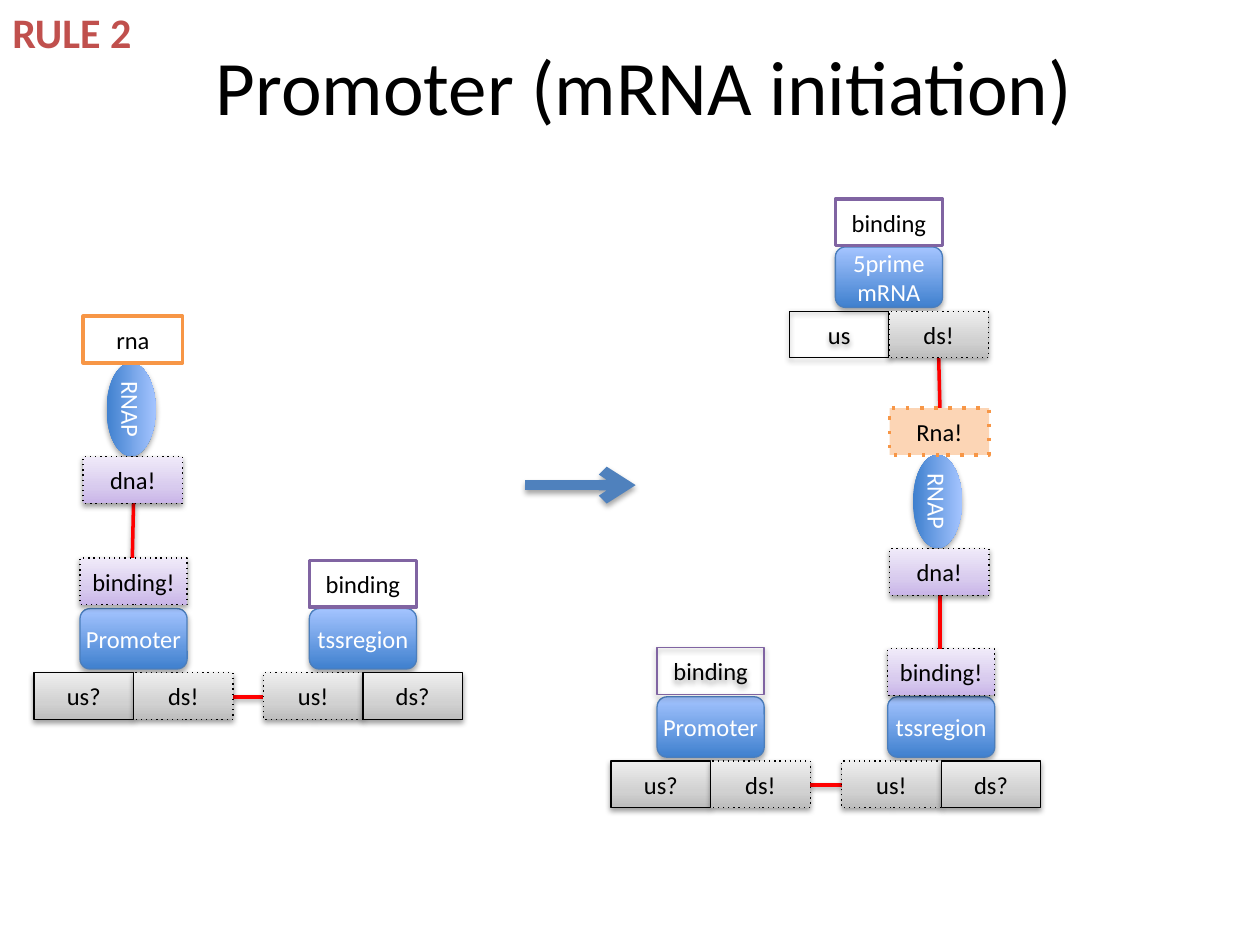
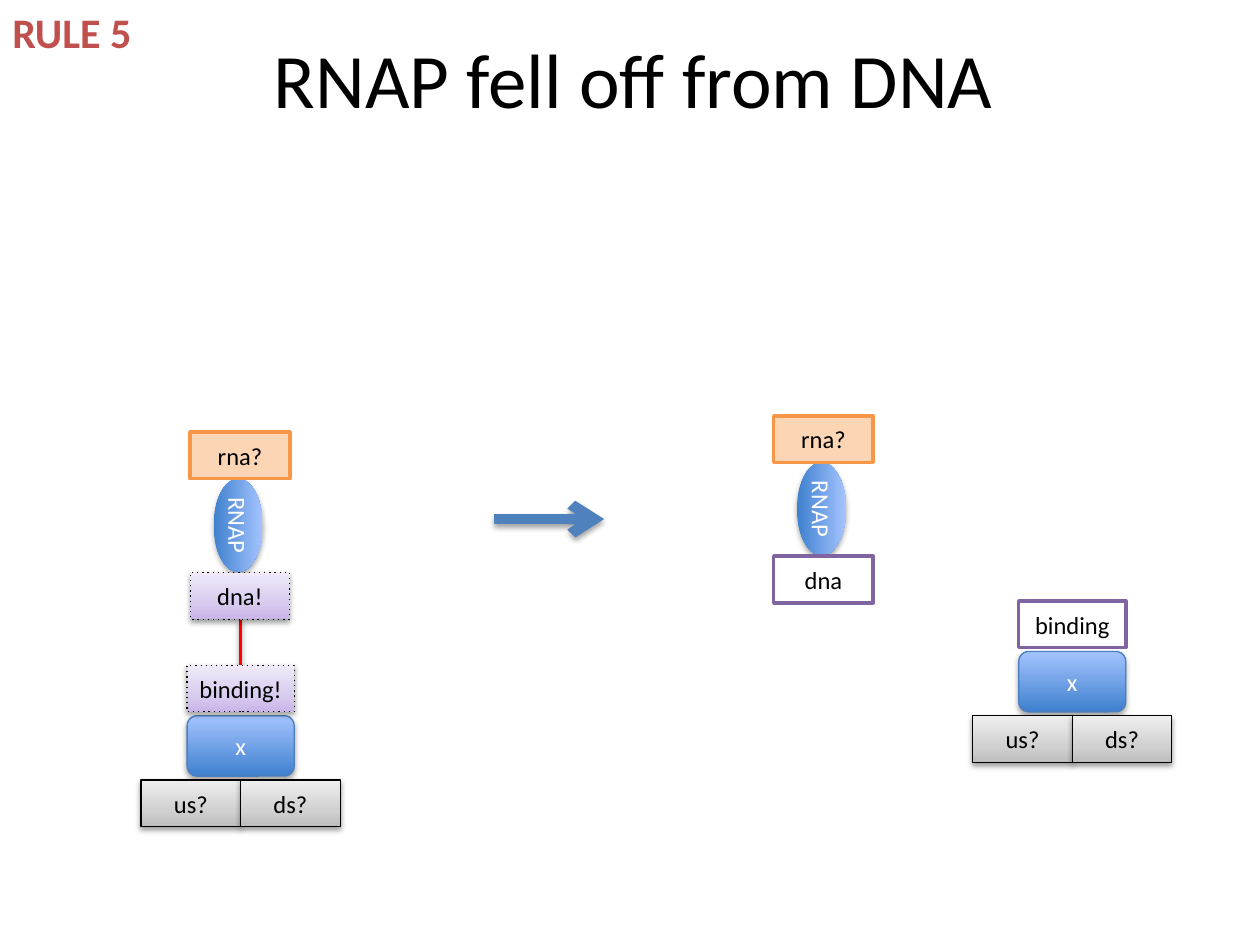
"""Build two slides of gene-rule diagrams: promoter initiation and polymerase fall-off."""
import dataclasses
import typing

import lxml.etree
import pptx
import pptx.dml.color
import pptx.enum.shapes
import pptx.enum.text
import pptx.oxml.ns
import pptx.util

WIDE, HIGH = pptx.util.Inches(10), pptx.util.Inches(7.5)
COLS, ROWS = 1000, 750
FONT = "Calibri"
HUES = {
    "black": "000000", "white": "FFFFFF", "red": "FF0000", "brick": "C0504D",
    "blue": "4F81BD", "edge": "4B7EBC", "deep": "3F80CE", "sky": "A4C4FF",
    "plum": "8064A2", "mauve": "C9B5E8", "lilac": "D8CBEE", "mist": "F0EAF9",
    "grey": "BDBDBD", "ash": "D1D1D1", "pale": "EEEEEE",
    "orange": "F79646", "peach": "FCD5B5",
}
STOPS = {2: (0, 100), 3: (0, 35, 100)}
SHAPES = pptx.enum.shapes.MSO_SHAPE
ALIGN = pptx.enum.text.PP_ALIGN
MIDDLE = pptx.enum.text.MSO_ANCHOR.MIDDLE

SITE_W, BODY_W, BOX_H, BODY_H = 79, 85, 37, 48
BODY_LIFT, DNA_DROP = 51, 111.5
OVAL_W, OVAL_H, OVAL_DROP, OVAL_SHIFT = 74, 39, 74, 1.5


@dataclasses.dataclass(frozen=True)
class Look:
    """Fill hues, outline, shadow and text format of one kind of block."""
    fill: tuple[str, ...] = ()
    line: str = ""
    weight: float = 0.75
    dots: bool = False
    shade: int = 0
    ink: str = "black"
    form: typing.Any = SHAPES.RECTANGLE
    inset: float = 0.04
    wrap: bool = True


PURPLE = ("mauve", "lilac", "mist")
SILVER = ("grey", "ash", "pale")
AZURE = ("deep", "sky")
LOOKS = {
    "open": Look(("white",), "plum", 2),
    "bound": Look(PURPLE, "black", dots=True, shade=38),
    "hollow": Look((), "plum", shade=38),
    "site": Look(SILVER, "black", shade=38),
    "tied": Look(SILVER, "black", dots=True, shade=38),
    "bare": Look((), "black", shade=38),
    "body": Look(AZURE, "edge", shade=35, ink="white",
                 form=SHAPES.ROUNDED_RECTANGLE, wrap=False),
    "oval": Look(AZURE, shade=35, ink="white", form=SHAPES.OVAL, inset=0.02),
    "free": Look(("white",), "orange", 2),
    "any": Look(("peach",), "orange", 2),
    "held": Look(("peach",), "orange", 2, dots=True),
}


class Gene(typing.NamedTuple):
    """A body on two sites, with a binding box on top."""
    mid: float
    row: float
    name: str
    left: tuple[str, str]
    right: tuple[str, str]
    bind: tuple[str, str]
    lift: float = 91


class Enzyme(typing.NamedTuple):
    """An upright RNAP oval between its rna and dna boxes."""
    mid: float
    row: float
    rna: tuple[str, str]
    dna: tuple[str, str]


class Link(typing.NamedTuple):
    """A straight line on the grid."""
    x1: float
    y1: float
    x2: float
    y2: float
    hue: str = "red"
    weight: float = 2
    shade: int = 38
    head: bool = False


class Rule(typing.NamedTuple):
    """All that one slide shows."""
    tag: str
    title: str
    frame: tuple[float, float, float, float]
    links: list[Link]
    agents: list[Gene | Enzyme]


def col(span: float) -> int:
    """Turn grid columns into a length."""
    return round(WIDE * span / COLS)


def row(span: float) -> int:
    """Turn grid rows into a length."""
    return round(HIGH * span / ROWS)


def tint(name: str) -> pptx.dml.color.RGBColor:
    """Look up a named hue."""
    return pptx.dml.color.RGBColor.from_string(HUES[name])


def apply(thing: typing.Any, form: dict[str, typing.Any]) -> None:
    """Set each format value on the thing."""
    for key, value in form.items():
        setattr(thing, key, value)


def add(parent: typing.Any, tag: str, **values: object) -> typing.Any:
    """Append a drawing element with its values."""
    node = lxml.etree.SubElement(parent, pptx.oxml.ns.qn(tag))
    for key, value in values.items():
        node.set(key, str(value))
    return node


def cast(shape: typing.Any, shade: int) -> None:
    """Give the shape a soft shadow below, or none at all."""
    effects = add(shape.element.spPr, "a:effectLst")
    if shade:
        drop = 23000 if shade == 35 else 20000
        glow = add(effects, "a:outerShdw", blurRad=40000, dist=drop,
                   dir=5400000, rotWithShape=0)
        hue = add(glow, "a:srgbClr", val=HUES["black"])
        add(hue, "a:alpha", val=shade * 1000)


def paint(shape: typing.Any, hues: tuple[str, ...]) -> None:
    """Fill with nothing, one hue, or a blend that runs upward."""
    fill = shape.fill
    if not hues:
        fill.background()
    elif len(hues) == 1:
        fill.solid()
        fill.fore_color.rgb = tint(hues[0])
    else:
        fill.gradient()
        fill.gradient_angle = 90
        stops = shape.element.spPr.find(".//" + pptx.oxml.ns.qn("a:gsLst"))
        stops.clear()
        for spot, hue in zip(STOPS[len(hues)], hues):
            stop = add(stops, "a:gs", pos=spot * 1000)
            add(stop, "a:srgbClr", val=HUES[hue])


def trace(shape: typing.Any, hue: str, weight: float) -> typing.Any:
    """Draw the line of a shape and return its element."""
    shape.line.fill.solid()
    shape.line.fill.fore_color.rgb = tint(hue)
    shape.line.width = pptx.util.Pt(weight)
    return shape.element.spPr.find(pptx.oxml.ns.qn("a:ln"))


def write(shape: typing.Any, text: str, size: float, ink: str,
          align: typing.Any = ALIGN.CENTER, bold: bool = False,
          **frame: typing.Any) -> None:
    """Put formatted text in a shape."""
    shape.text_frame.text = text
    apply(shape.text_frame, frame)
    for para in shape.text_frame.paragraphs:
        para.alignment = align
        apply(para.font, {"name": FONT, "size": pptx.util.Pt(size), "bold": bold})
        para.font.color.rgb = tint(ink)


def block(slide: typing.Any, x: float, y: float, w: float, h: float,
          text: str, kind: str) -> typing.Any:
    """Draw one labelled block."""
    look = LOOKS[kind]
    shape = slide.shapes.add_shape(look.form, col(x), row(y), col(w), row(h))
    paint(shape, look.fill)
    if look.line:
        edge = trace(shape, look.line, look.weight)
        if look.dots:
            add(edge, "a:prstDash", val="dot")
    else:
        shape.line.fill.background()
    cast(shape, look.shade)
    side = pptx.util.Inches(look.inset)
    write(shape, text, 14, look.ink, margin_left=side, margin_right=side,
          vertical_anchor=MIDDLE, word_wrap=look.wrap)
    return shape


def connect(slide: typing.Any, link: Link) -> None:
    """Draw a bond or an arrow."""
    line = slide.shapes.add_connector(
        pptx.enum.shapes.MSO_CONNECTOR.STRAIGHT,
        col(link.x1), row(link.y1), col(link.x2), row(link.y2))
    edge = trace(line, link.hue, link.weight)
    if link.head:
        add(edge, "a:tailEnd", type="arrow")
    cast(line, link.shade)


def draw_gene(slide: typing.Any, gene: Gene) -> None:
    """Draw a gene about its middle column."""
    start = gene.mid - BODY_W / 2
    block(slide, start, gene.row - BODY_LIFT, BODY_W, BODY_H, gene.name, "body")
    block(slide, gene.mid - SITE_W, gene.row, SITE_W, BOX_H, *gene.left)
    block(slide, gene.mid, gene.row, SITE_W, BOX_H, *gene.right)
    block(slide, start, gene.row - gene.lift, BODY_W, BOX_H, *gene.bind)


def draw_enzyme(slide: typing.Any, enzyme: Enzyme) -> None:
    """Draw an RNAP enzyme about its middle column."""
    oval = block(slide, enzyme.mid - OVAL_SHIFT - OVAL_W / 2,
                 enzyme.row + OVAL_DROP - OVAL_H / 2, OVAL_W, OVAL_H, "RNAP", "oval")
    oval.rotation = 90
    start = enzyme.mid - SITE_W / 2
    block(slide, start, enzyme.row + DNA_DROP, SITE_W, BOX_H, *enzyme.dna)
    block(slide, start, enzyme.row, SITE_W, BOX_H, *enzyme.rna)


def draw_rule(deck: typing.Any, rule: Rule) -> None:
    """Add one slide with its title, tag, links and agents."""
    slide = deck.slides.add_slide(deck.slide_layouts[6])
    x, y, w, h = rule.frame
    title = slide.shapes.add_textbox(col(x), row(y), col(w), row(h))
    write(title, rule.title, 44, "black", word_wrap=True, vertical_anchor=MIDDLE)
    for link in rule.links:
        connect(slide, link)
    for agent in rule.agents:
        if isinstance(agent, Gene):
            draw_gene(slide, agent)
        else:
            draw_enzyme(slide, agent)
    tag = slide.shapes.add_textbox(0, 0, col(116), row(50))
    write(tag, rule.tag, 24, "brick", ALIGN.LEFT, True, word_wrap=False,
          auto_size=pptx.enum.text.MSO_AUTO_SIZE.SHAPE_TO_FIT_TEXT)


def arrow(x: float, y: float) -> Link:
    """Make the arrow from the state before to the state after."""
    return Link(x, y, x + 87.5, y, "blue", 6, 35, True)


UP, DOWN = ("us?", "site"), ("ds?", "site")
UP_TIED, DOWN_TIED = ("us!", "tied"), ("ds!", "tied")
BIND, BOUND = ("binding", "open"), ("binding!", "bound")
DNA_BOUND, RNA_ANY = ("dna!", "bound"), ("rna?", "any")

RULES = [
    Rule("RULE 2", "Promoter (mRNA initiation)", (23, 5, 977, 125),
         [arrow(417, 385), Link(209, 553, 185, 553), Link(746, 324, 745, 284),
          Link(106, 399, 105, 443), Link(668, 623, 643, 623),
          Link(746, 472, 746, 515)],
         [Enzyme(105.5, 251, ("rna", "free"), DNA_BOUND),
          Gene(106, 534, "Promoter", UP, DOWN_TIED, BOUND),
          Gene(288, 534, "tssregion", UP_TIED, DOWN, BIND, 89),
          Gene(705.5, 247, "5prime\nmRNA", ("us", "bare"), DOWN_TIED, BIND, 89),
          Enzyme(745.5, 324, ("Rna!", "held"), DNA_BOUND),
          Gene(564, 604, "Promoter", UP, DOWN_TIED, ("binding", "hollow"), 90),
          Gene(747, 604, "tssregion", UP_TIED, DOWN, BOUND, 89)]),
    Rule("RULE 5", "RNAP fell off from DNA", (6, -1, 994, 125),
         [arrow(392, 412), Link(191, 492, 191, 528)],
         [Enzyme(190.5, 343, RNA_ANY, DNA_BOUND),
          Gene(191, 619, "x", UP, DOWN, BOUND),
          Enzyme(653.5, 330, RNA_ANY, ("dna", "open")),
          Gene(851, 568, "x", UP, DOWN, BIND)]),
]


def main() -> None:
    """Build and save the deck."""
    deck = pptx.Presentation()
    apply(deck, {"slide_width": WIDE, "slide_height": HIGH})
    for rule in RULES:
        draw_rule(deck, rule)
    deck.save("out.pptx")


if __name__ == "__main__":
    main()
